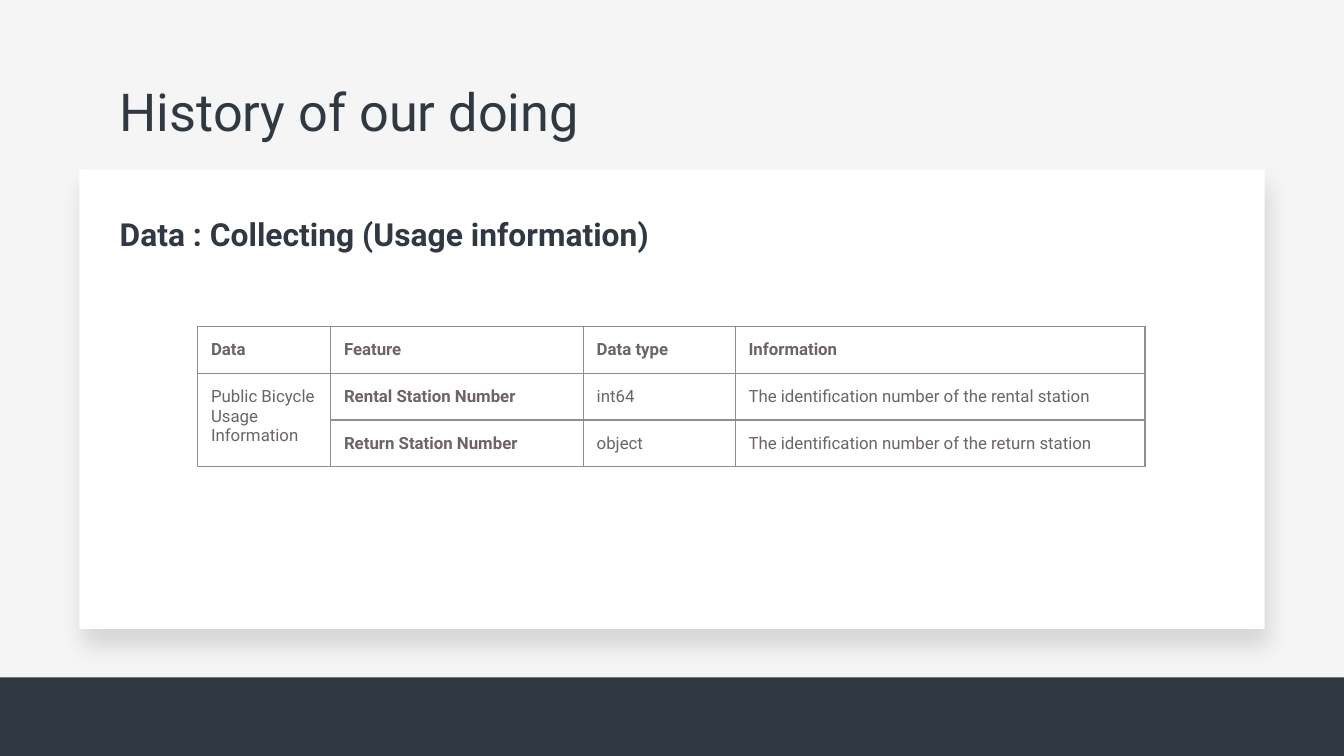
from dataclasses import dataclass

from lxml import etree
from pptx import Presentation, util as u
from pptx.dml.color import RGBColor
from pptx.enum import shapes, text
from pptx.oxml import ns


@dataclass(frozen=True)
class Theme:
    font: str = "Roboto"
    back: str = "F5F5F5"
    dark: str = "303942"
    card: str = "FFFFFF"
    body: str = "6C6465"
    rule: str = "8D8E92"
    shade: str = "000000"
    title: int = 28
    head: int = 17
    cell: int = 9


THEME = Theme()
PAD = u.Inches(0.1)
COLS = (0.99, 1.88, 1.13, 3.05)
ROW = 0.28
ROWS = (
    ("Data", "Feature", "Data type", "Information"),
    ("Public Bicycle Usage Information", "Rental Station Number", "int64",
     "The identification number of the rental station"),
    ("", "Return Station Number", "object",
     "The identification number of the return station"),
)


def color(code):
    return RGBColor.from_string(code)


def child(parent, tag, **attrs):
    return etree.SubElement(parent, ns.qn(tag), attrs)


def style(frame, words, size, tint, bold=False, after=0):
    frame.text = words
    para = frame.paragraphs[0]
    para.alignment = text.PP_ALIGN.LEFT
    para.line_spacing = 1.0
    para.space_before = u.Pt(0)
    para.space_after = u.Pt(after)
    for run in para.runs:
        run.font.name = THEME.font
        run.font.size = u.Pt(size)
        run.font.bold = bold
        run.font.color.rgb = color(tint)


def block(slide, kind, box, tint):
    shape = slide.shapes.add_shape(kind, *map(u.Inches, box))
    shape.shadow.inherit = False
    shape.fill.solid()
    shape.fill.fore_color.rgb = color(tint)
    shape.line.fill.background()
    return shape


def add_band(slide, box):
    band = block(slide, shapes.MSO_SHAPE.SNIP_2_DIAG_RECTANGLE, box, THEME.dark)
    band.adjustments[0] = band.adjustments[1] = 0


def add_card(slide, box):
    card = block(slide, shapes.MSO_SHAPE.RECTANGLE, box, THEME.card)
    # Soft shadow below the card
    props = card._element.spPr
    fx = props.find(ns.qn("a:effectLst"))
    shade = child(fx, "a:outerShdw", blurRad=str(u.Pt(12.4)),
                  dist=str(u.Pt(9)), dir=str(76 * 60000),
                  algn="bl", rotWithShape="0")
    tint = child(shade, "a:srgbClr", val=THEME.shade)
    child(tint, "a:alpha", val="13000")


def add_head(slide, holder, box, words, size, anchor, bold=False):
    holder.left, holder.top, holder.width, holder.height = map(u.Inches, box)
    frame = holder.text_frame
    frame.margin_left = frame.margin_right = PAD
    frame.margin_top = frame.margin_bottom = PAD
    frame.word_wrap = True
    frame.auto_size = text.MSO_AUTO_SIZE.NONE
    frame.vertical_anchor = anchor
    style(frame, words, size, THEME.dark, bold)
    # Bring the text in front of the card
    slide.shapes._spTree.append(holder._element)


def add_rules(cell):
    props = cell._tc.get_or_add_tcPr()
    for spot, side in enumerate("LRTB"):
        line = etree.Element(ns.qn("a:ln" + side), w=str(u.Pt(0.75)))
        fill = child(line, "a:solidFill")
        child(fill, "a:srgbClr", val=THEME.rule)
        props.insert(spot, line)


def add_grid(slide, left, top):
    box = map(u.Inches, (left, top, sum(COLS), ROW * len(ROWS)))
    grid = slide.shapes.add_table(len(ROWS), len(COLS), *box).table
    grid.first_row = grid.horz_banding = False
    for col, width in zip(grid.columns, COLS):
        col.width = u.Inches(width)
    for r, row in enumerate(ROWS):
        grid.rows[r].height = u.Inches(ROW)
        for c, words in enumerate(row):
            cell = grid.cell(r, c)
            cell.margin_left = cell.margin_right = PAD
            cell.margin_top = cell.margin_bottom = PAD
            cell.fill.background()
            add_rules(cell)
            # Header row and feature names are bold
            bold = r == 0 or c == 1
            after = 16 if c and (bold or c == 3) else 0
            style(cell.text_frame, words, THEME.cell, THEME.body, bold, after)
    grid.cell(1, 0).merge(grid.cell(2, 0))


def main():
    deck = Presentation()
    # Widescreen, 16 to 9
    deck.slide_width = u.Inches(10)
    deck.slide_height = deck.slide_width * 9 // 16
    slide = deck.slides.add_slide(deck.slide_layouts[0])
    fill = slide.background.fill
    fill.solid()
    fill.fore_color.rgb = color(THEME.back)

    # Backdrop
    add_band(slide, (-0.03, 5.04, 10.09, 0.63))
    add_card(slide, (0.59, 1.26, 8.82, 3.42))

    # Headings
    add_head(slide, slide.placeholders[1], (0.79, 1.4, 6.52, 0.58),
             "Data : Collecting (Usage information)", THEME.head,
             text.MSO_ANCHOR.BOTTOM, True)
    add_head(slide, slide.shapes.title, (0.79, 0.49, 8.82, 0.63),
             "History of our doing", THEME.title, text.MSO_ANCHOR.TOP)

    # Feature table
    add_grid(slide, 1.47, 2.43)
    deck.save("out.pptx")


if __name__ == "__main__":
    main()
